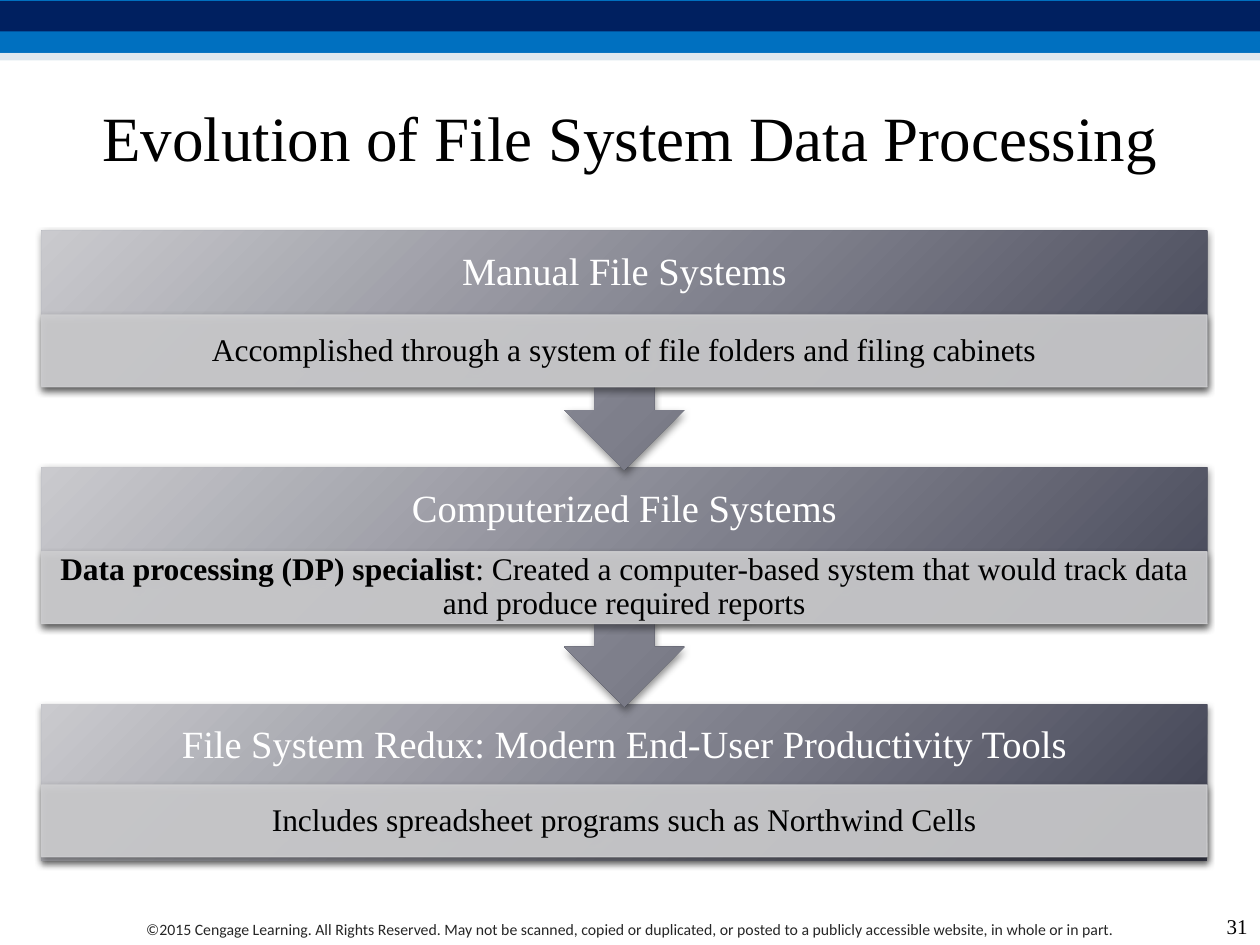
from lxml import etree
from pptx import Presentation
from pptx.dml.color import RGBColor
from pptx.enum.shapes import MSO_SHAPE
from pptx.enum.text import MSO_ANCHOR, PP_ALIGN
from pptx.oxml import parse_xml
from pptx.oxml.ns import nsdecls, qn
from pptx.util import Inches, Pt

BLACK = RGBColor(0x00, 0x00, 0x00)
WHITE = RGBColor(0xFF, 0xFF, 0xFF)
CHARCOAL = RGBColor(0x26, 0x26, 0x26)
NAVY = RGBColor(0x00, 0x20, 0x60)
BLUE = RGBColor(0x00, 0x70, 0xC0)
PALE_BLUE = RGBColor(0xBE, 0xD3, 0xE1)
SILVER = RGBColor(0xCF, 0xCF, 0xD1)
GRADIENT = ((0, RGBColor(0xCA, 0xCA, 0xCE)),
            (55, RGBColor(0x7E, 0x7F, 0x8B)),
            (100, RGBColor(0x3D, 0x3F, 0x50)))


class SlideBuilder:
    """Holds the text style and the current slide."""

    font_name = "Times New Roman"

    def __init__(self, slide):
        self.slide = slide

    def shape(self, kind, box, color=None, opacity=100):
        shape = self.slide.shapes.add_shape(kind, *map(Inches, box))
        shape.shadow.inherit = False
        shape.line.fill.background()
        if color is not None:
            shape.fill.solid()
            shape.fill.fore_color.rgb = color
            self.set_opacity(shape._element.spPr, opacity)
        return shape

    def set_opacity(self, parent, opacity):
        if opacity < 100:
            color_element = parent.find(qn("a:solidFill"))[0]
            etree.SubElement(color_element, qn("a:alpha"), val=str(opacity * 1000))

    def shadow(self, shape):
        effects = shape._element.spPr.find(qn("a:effectLst"))
        effects.append(parse_xml(
            f'<a:outerShdw {nsdecls("a")} blurRad="{Pt(4)}" dist="{Pt(2)}" '
            'dir="5400000" rotWithShape="0"><a:srgbClr val="000000">'
            '<a:alpha val="45000"/></a:srgbClr></a:outerShdw>'))

    def gradient_panel(self, kind, box):
        shape = self.shape(kind, box)
        stops = "".join(
            f'<a:gs pos="{position * 1000}"><a:srgbClr val="{color}"/></a:gs>'
            for position, color in GRADIENT)
        shape._element.spPr.find(qn("a:prstGeom")).addnext(parse_xml(
            f'<a:gradFill {nsdecls("a")} rotWithShape="1"><a:gsLst>{stops}</a:gsLst>'
            '<a:path path="circle"><a:fillToRect l="-40000" t="-90000" '
            'r="140000" b="190000"/></a:path></a:gradFill>'))
        self.shadow(shape)

    def detail_bar(self, box, runs):
        shape = self.shape(MSO_SHAPE.RECTANGLE, box, SILVER, 90)
        shape.line.color.rgb = SILVER
        shape.line.width = Pt(0.75)
        self.set_opacity(shape._element.spPr.find(qn("a:ln")), 90)
        self.shadow(shape)
        self.fill_text(shape, runs, 18, margins=(0.14, 0.03), line_spacing=0.9)

    def text(self, box, words, size, **style):
        shape = self.slide.shapes.add_textbox(*map(Inches, box))
        self.fill_text(shape, [(words, False)], size, **style)

    def fill_text(self, shape, runs, size, color=BLACK, font_name=None,
                  align=PP_ALIGN.CENTER, anchor=MSO_ANCHOR.MIDDLE,
                  margins=(0.1, 0.05), line_spacing=1.0):
        side, end = map(Inches, margins)
        frame = shape.text_frame
        frame_format = {"word_wrap": True, "vertical_anchor": anchor,
                        "margin_left": side, "margin_right": side,
                        "margin_top": end, "margin_bottom": end}
        for name, value in frame_format.items():
            setattr(frame, name, value)
        paragraph = frame.paragraphs[0]
        paragraph.alignment = align
        paragraph.line_spacing = line_spacing
        for words, bold in runs:
            run = paragraph.add_run()
            run.text = words
            run.font.color.rgb = color
            font_format = {"name": font_name or self.font_name,
                           "size": Pt(size), "bold": bold}
            for name, value in font_format.items():
                setattr(run.font, name, value)


def main():
    presentation = Presentation()
    presentation.slide_width = Inches(10)
    presentation.slide_height = Inches(7.5)
    slide = presentation.slides.add_slide(presentation.slide_layouts[6])
    builder = SlideBuilder(slide)

    # Bands along the top
    for top, height, color, opacity in ((0, 0.42, BLUE, 100),
                                        (0.01, 0.24, NAVY, 100),
                                        (0.42, 0.06, PALE_BLUE, 50)):
        builder.shape(MSO_SHAPE.RECTANGLE, (0, top, 10, height), color, opacity)

    # Footer and title
    builder.text((0.58, 7.25, 8.83, 0.25),
                 "©2015 Cengage Learning. All Rights Reserved. May not be scanned, "
                 "copied or duplicated, or posted to a publicly accessible website, "
                 "in whole or in part.", 9, color=CHARCOAL, font_name="Calibri",
                 anchor=MSO_ANCHOR.TOP)
    builder.text((0.5, 0.5, 9, 1.17), "Evolution of File System Data Processing", 36)

    # Stages, drawn from the last up so each arrow overlaps the next panel
    left, width, first_top, pitch = 0.33, 9.25, 1.83, 1.88
    callout, block = MSO_SHAPE.DOWN_ARROW_CALLOUT, MSO_SHAPE.RECTANGLE
    stages = (
        (callout, 1.9, 0.67, "Manual File Systems",
         [("Accomplished through a system of file folders and filing cabinets", False)]),
        (callout, 1.9, 0.67, "Computerized File Systems",
         [("Data processing (DP) specialist", True),
          (": Created a computer-based system that would track data "
           "and produce required reports", False)]),
        (block, 1.24, 0.64, "File System Redux: Modern End-User Productivity Tools",
         [("Includes spreadsheet programs such as Northwind Cells", False)]),
    )
    for index, (kind, height, offset, heading, detail) in reversed(list(enumerate(stages))):
        top = first_top + index * pitch
        builder.gradient_panel(kind, (left, top, width, height))
        builder.text((left, top, width, 0.67), heading, 22, color=WHITE,
                     margins=(0.17, 0.17), line_spacing=0.9)
        builder.detail_bar((left, top + offset, width, 0.57), detail)

    # Page number
    builder.text((9.5, 7.17, 0.5, 0.33), "31", 12, align=PP_ALIGN.RIGHT,
                 anchor=MSO_ANCHOR.BOTTOM)

    presentation.save("out.pptx")


if __name__ == "__main__":
    main()
